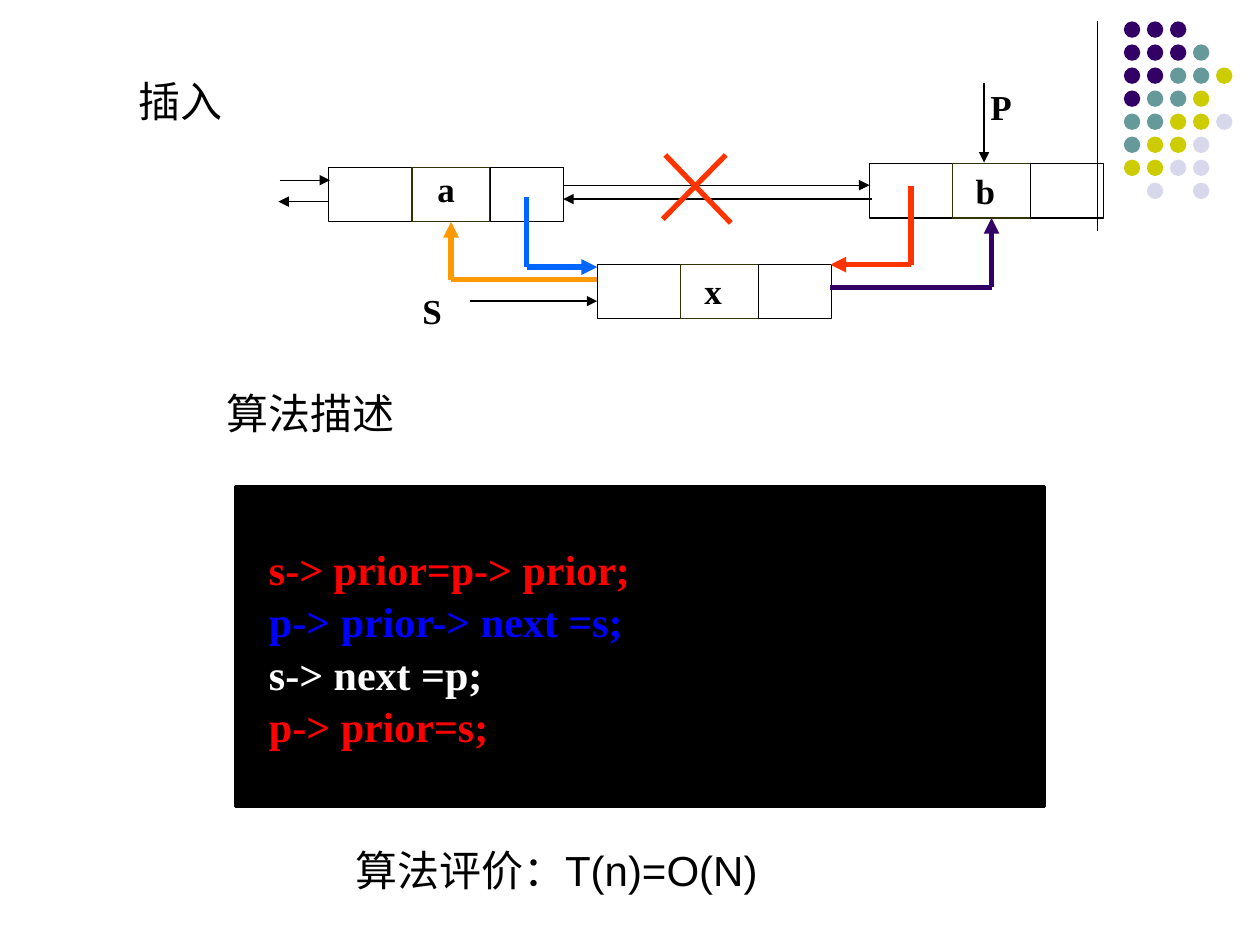
import pptx
import pptx.dml.color
import pptx.enum.shapes
import pptx.enum.text
import pptx.oxml.ns
import pptx.util
from lxml import etree

Inches = pptx.util.Inches
Pt = pptx.util.Pt
RGBColor = pptx.dml.color.RGBColor
MSO_SHAPE = pptx.enum.shapes.MSO_SHAPE
MSO_ANCHOR = pptx.enum.text.MSO_ANCHOR
PP_ALIGN = pptx.enum.text.PP_ALIGN
qn = pptx.oxml.ns.qn

BLACK = RGBColor(0x00, 0x00, 0x00)
WHITE = RGBColor(0xFF, 0xFF, 0xFF)
OLIVE = RGBColor(0x33, 0x33, 0x00)
PURPLE = RGBColor(0x33, 0x00, 0x66)
TEAL = RGBColor(0x66, 0x99, 0x99)
LIME = RGBColor(0xCC, 0xCC, 0x00)
LAVENDER = RGBColor(0xD8, 0xD8, 0xEC)
SKY = RGBColor(0x00, 0x66, 0xFF)
ORANGE = RGBColor(0xFF, 0x99, 0x00)
SCARLET = RGBColor(0xFF, 0x33, 0x00)
RED = RGBColor(0xFF, 0x00, 0x00)
BLUE = RGBColor(0x00, 0x00, 0xFF)

DOT_COLORS = {"p": PURPLE, "t": TEAL, "l": LIME, "v": LAVENDER}
DOT_ROWS = ["ppp", "pppt", "ppttl", "pttl", "ttllv", "tllv", "llvv", " v v"]
DOT_PITCH = 1.28 / 7
CELLS = [(0.66, BLACK), (0.62, OLIVE), (0.58, BLACK)]
CELL_HEIGHT = 0.43
CODE = [
    ("  s-> prior=p-> prior;", RED),
    ("  p-> prior-> next =s;", BLUE),
    ("  s-> next =p;", WHITE),
    ("  p-> prior=s;", RED),
]


def add_run(paragraph, text, size, font, color, bold=False):
    run = paragraph.add_run()
    run.text = text
    run.font.size = Pt(size)
    run.font.name = font
    run.font.bold = bold
    run.font.color.rgb = color


def add_link(slide, start, end, color=BLACK, width=0.75, arrow=True):
    link = slide.shapes.add_connector(
        pptx.enum.shapes.MSO_CONNECTOR.STRAIGHT, *map(Inches, start + end))
    link.line.color.rgb = color
    link.line.width = Pt(width)
    if arrow:
        etree.SubElement(link.line._get_or_add_ln(), qn("a:tailEnd"), type="triangle")
    etree.SubElement(link._element.spPr, qn("a:effectLst"))
    return link


def add_elbow(slide, start, corner, end, color):
    add_link(slide, start, corner, color, 3, arrow=False)
    return add_link(slide, corner, end, color, 3)


def add_block(slide, kind, left, top, width, height):
    block = slide.shapes.add_shape(kind, *map(Inches, (left, top, width, height)))
    block.shadow.inherit = False
    return block


def add_dots(slide):
    for row, colors in enumerate(DOT_ROWS):
        for column, key in enumerate(colors):
            if key in DOT_COLORS:
                dot = add_block(slide, MSO_SHAPE.OVAL, 8.92 + column * DOT_PITCH,
                                0.17 + row * DOT_PITCH, 0.13, 0.13)
                dot.fill.solid()
                dot.fill.fore_color.rgb = DOT_COLORS[key]
                dot.line.fill.background()


def add_node(slide, left, top):
    cells = []
    for width, color in CELLS:
        cell = add_block(slide, MSO_SHAPE.RECTANGLE, left, top, width, CELL_HEIGHT)
        cell.fill.background()
        cell.line.color.rgb = color
        cell.line.width = Pt(0.75)
        cells.append(cell)
        left += width
    return cells


def add_label(slide, text, left, top, width):
    label = slide.shapes.add_textbox(*map(Inches, (left, top, width, CELL_HEIGHT)))
    frame = label.text_frame
    frame.word_wrap = False
    frame.vertical_anchor = MSO_ANCHOR.MIDDLE
    frame.paragraphs[0].alignment = PP_ALIGN.CENTER
    add_run(frame.paragraphs[0], text, 20, "Times New Roman", BLACK, bold=True)


def write_heading(heading, text, indent):
    frame = heading.text_frame
    frame.word_wrap = True
    frame.auto_size = pptx.enum.text.MSO_AUTO_SIZE.NONE
    frame.vertical_anchor = MSO_ANCHOR.TOP
    paragraph = frame.paragraphs[0]
    paragraph.alignment = PP_ALIGN.LEFT
    paragraph._p.get_or_add_pPr().set("marL", str(Inches(indent)))
    add_run(paragraph, text, 24, "Arial", BLACK)


def add_title(slide, text):
    title = slide.shapes.title
    title.left, title.top, title.width, title.height = map(Inches, (0, 0.55, 9.3, 0.48))
    write_heading(title, text, 1)


def add_heading(slide, text, left, top, width, height):
    heading = slide.shapes.add_textbox(*map(Inches, (left, top, width, height)))
    write_heading(heading, text, 1.5)


def add_code(slide):
    panel = add_block(slide, MSO_SHAPE.RECTANGLE, 1.87, 3.86, 6.42, 2.54)
    panel.fill.solid()
    panel.fill.fore_color.rgb = BLACK
    panel.line.color.rgb = BLACK
    panel.line.width = Pt(2)
    frame = panel.text_frame
    frame.word_wrap = True
    frame.vertical_anchor = MSO_ANCHOR.MIDDLE
    for number, (statement, color) in enumerate(CODE):
        line = frame.add_paragraph() if number else frame.paragraphs[0]
        line.alignment = PP_ALIGN.LEFT
        line.line_spacing = 1.04
        add_run(line, statement, 24, "Times New Roman", color, bold=True)


def add_list_diagram(slide):
    add_node(slide, 4.74, 2.1)
    a_cells = add_node(slide, 2.61, 1.33)
    b_cells = add_node(slide, 6.9, 1.3)

    add_elbow(slide, (4.18, 1.56), (4.18, 2.12), (4.74, 2.12), SKY)
    x_prior = add_elbow(slide, (4.74, 2.22), (3.58, 2.22), (3.58, 1.76), ORANGE)
    x_prior.end_connect(a_cells[1], 2)
    x_next = add_elbow(slide, (6.59, 2.28), (7.87, 2.28), (7.87, 1.73), PURPLE)
    x_next.end_connect(b_cells[1], 2)
    add_elbow(slide, (7.23, 1.48), (7.23, 2.1), (6.59, 2.1), SCARLET)

    for start, end in [
        ((3.73, 2.39), (4.74, 2.39)),
        ((2.22, 1.43), (2.62, 1.43)),
        ((2.61, 1.6), (2.21, 1.6)),
        ((4.47, 1.47), (6.9, 1.47)),
        ((6.92, 1.58), (4.47, 1.58)),
        ((7.81, 0.66), (7.81, 1.29)),
    ]:
        add_link(slide, start, end)

    for start, end in [((5.76, 1.23), (5.26, 1.74)), ((5.28, 1.23), (5.8, 1.77))]:
        add_link(slide, start, end, SCARLET, 3, arrow=False)

    for text, left, top, width in [
        ("x", 5.49, 2.09, 0.34),
        ("S", 3.25, 2.25, 0.36),
        ("b", 7.64, 1.3, 0.36),
        ("a", 3.37, 1.28, 0.34),
        ("P", 7.76, 0.63, 0.37),
    ]:
        add_label(slide, text, left, top, width)


def main():
    deck = pptx.Presentation()
    deck.slide_width = Inches(10)
    deck.slide_height = Inches(7.5)
    slide = deck.slides.add_slide(deck.slide_layouts[5])
    add_link(slide, (8.71, 0.17), (8.71, 1.83), arrow=False)
    add_dots(slide)
    add_title(slide, "插入")
    add_list_diagram(slide)
    add_heading(slide, "算法描述", 0.2, 3.03, 3.86, 0.48)
    add_code(slide)
    add_heading(slide, "算法评价：T(n)=O(N)", 1.22, 6.65, 5.67, 0.64)
    deck.save("out.pptx")


if __name__ == "__main__":
    main()
